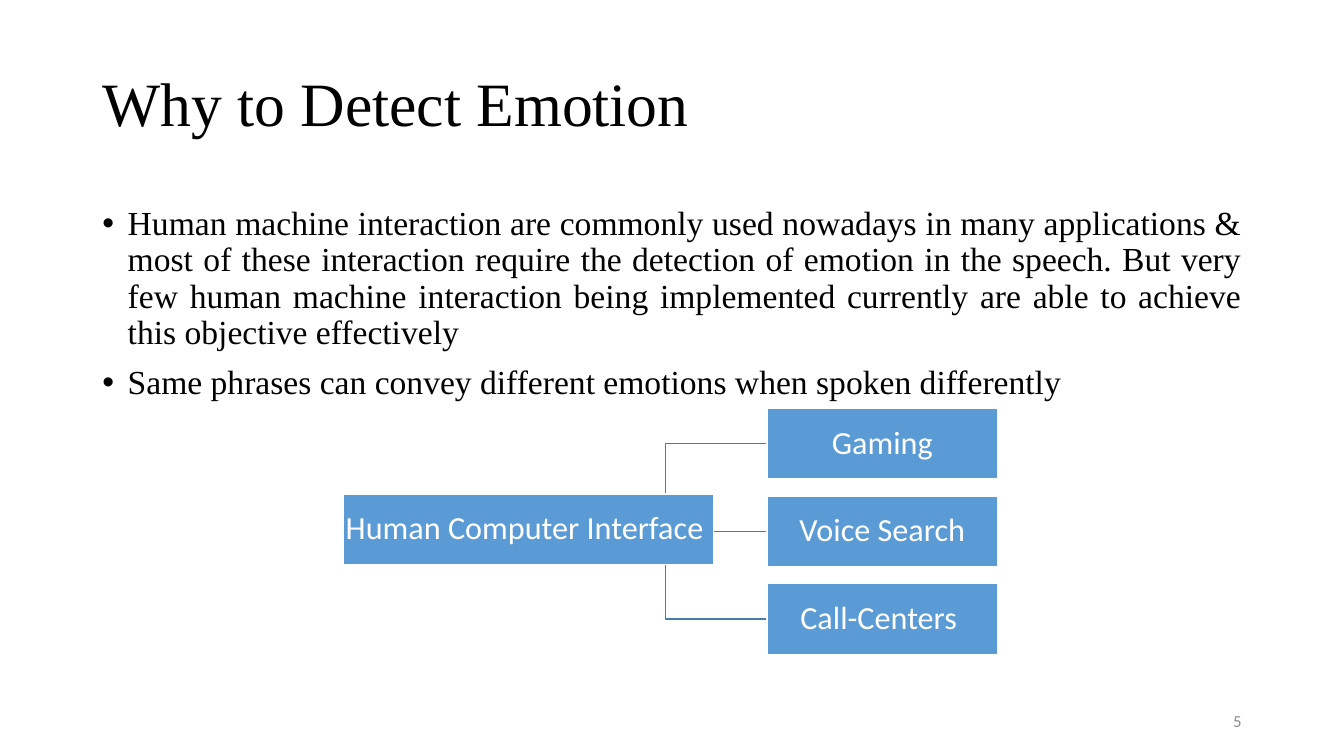
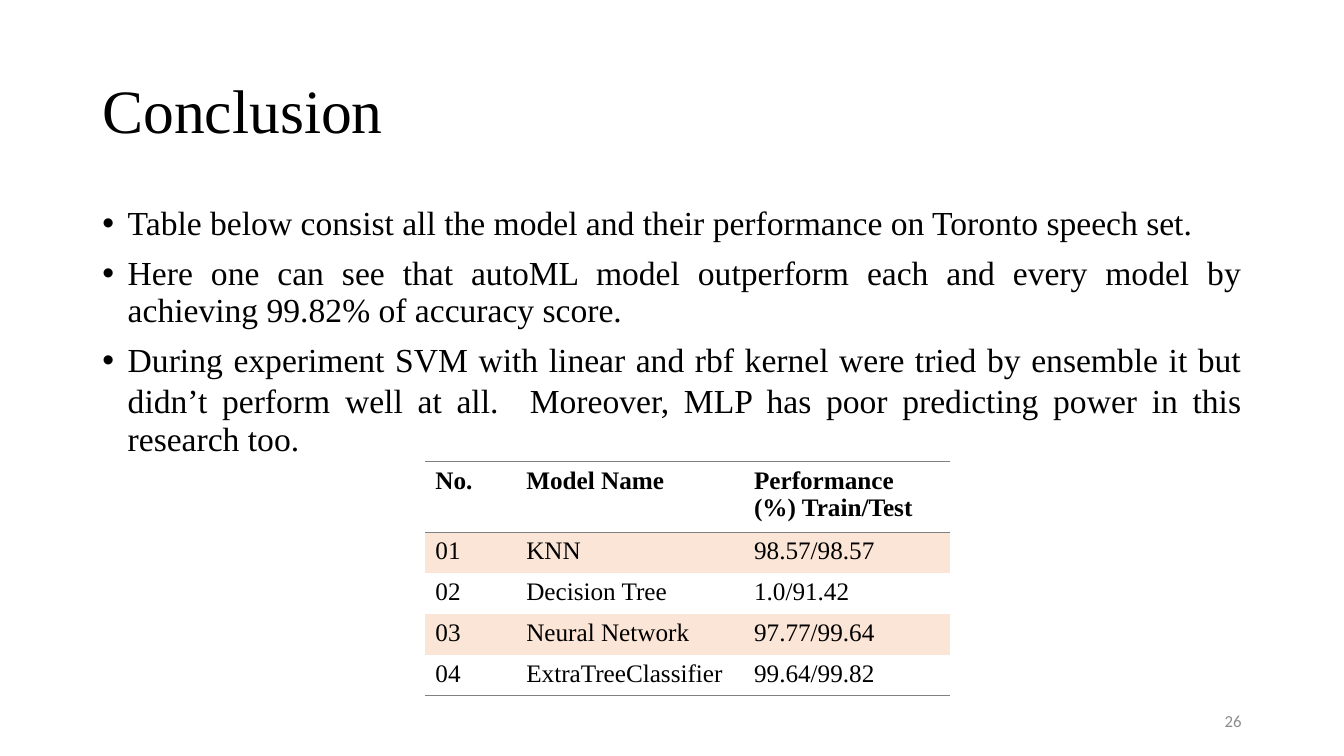
from lxml import etree
from pptx import Presentation
from pptx.dml.color import RGBColor
from pptx.enum.shapes import MSO_CONNECTOR, MSO_SHAPE
from pptx.enum.text import MSO_ANCHOR, PP_ALIGN
from pptx.oxml.ns import qn
from pptx.util import Cm, Pt

ELBOW = MSO_CONNECTOR.ELBOW
RECTANGLE = MSO_SHAPE.RECTANGLE
TOP, MIDDLE = MSO_ANCHOR.TOP, MSO_ANCHOR.MIDDLE
LEFT, CENTER, RIGHT = PP_ALIGN.LEFT, PP_ALIGN.CENTER, PP_ALIGN.RIGHT
JUSTIFY = PP_ALIGN.JUSTIFY

BLACK = RGBColor(0x00, 0x00, 0x00)
WHITE = RGBColor(0xFF, 0xFF, 0xFF)
GREY = RGBColor(0x8C, 0x8C, 0x8C)
BLUE = RGBColor(0x5B, 0x9B, 0xD5)
LINK_BLUE = RGBColor(0x49, 0x7C, 0xAB)
PEACH = RGBColor(0xFB, 0xE5, 0xD6)
RULE_GREY = RGBColor(0x80, 0x80, 0x80)

SERIF, SANS = "Times New Roman", "Calibri"
NO_TABLE_STYLE = "{2D5ABB26-0587-4C30-8999-92F81FD0307C}"
CONTENT_LEFT, CONTENT_WIDTH = 2.33, 29.21


def write(paragraph, text, font=SERIF, size=24, color=BLACK, bold=False,
          align=LEFT, spacing=None):
    """Add one formatted run to a paragraph."""
    paragraph.alignment = align
    if spacing:
        paragraph.line_spacing = spacing
    run = paragraph.add_run()
    run.text = text
    run.font.name = font
    run.font.size = Pt(size)
    run.font.bold = bold
    run.font.color.rgb = color


class Deck:
    """Holds the presentation, its style and the current slide."""

    def __init__(self):
        self.presentation = Presentation()
        self.presentation.slide_width = Cm(33.87)
        self.presentation.slide_height = Cm(19.05)
        self.slide = None

    def new_slide(self, title, number, title_height):
        blank = self.presentation.slide_layouts[6]
        self.slide = self.presentation.slides.add_slide(blank)
        frame = self.text_frame(CONTENT_LEFT, 1.02, CONTENT_WIDTH, title_height, MIDDLE)
        write(frame.paragraphs[0], title, size=44, spacing=0.9)
        frame = self.text_frame(23.92, 17.65, 7.62, 1.02, MIDDLE)
        write(frame.paragraphs[0], str(number), font=SANS, size=12, color=GREY, align=RIGHT)

    def text_frame(self, left, top, width, height, anchor=TOP):
        box = self.slide.shapes.add_textbox(Cm(left), Cm(top), Cm(width), Cm(height))
        box.text_frame.word_wrap = True
        box.text_frame.vertical_anchor = anchor
        return box.text_frame

    def bullets(self, items):
        """Each item is a list of (text, size) runs."""
        frame = self.text_frame(CONTENT_LEFT, 5.08, CONTENT_WIDTH, 12.09)
        for index, runs in enumerate(items):
            paragraph = frame.add_paragraph() if index else frame.paragraphs[0]
            paragraph.space_before = Pt(10)
            for text, size in runs:
                write(paragraph, text, size=size, align=JUSTIFY, spacing=0.9)
            properties = paragraph._p.get_or_add_pPr()
            properties.set("marL", str(Cm(0.64)))
            properties.set("indent", str(-Cm(0.64)))
            etree.SubElement(properties, qn("a:buFont"), typeface="Arial")
            etree.SubElement(properties, qn("a:buChar"), char="•")

    def box(self, text, left, top, width, height):
        shape = self.slide.shapes.add_shape(
            RECTANGLE, Cm(left), Cm(top), Cm(width), Cm(height))
        shape.shadow.inherit = False
        shape.fill.solid()
        shape.fill.fore_color.rgb = BLUE
        shape.line.color.rgb = WHITE
        shape.line.width = Pt(1)
        frame = shape.text_frame
        frame.word_wrap = True
        frame.vertical_anchor = MIDDLE
        frame.margin_left = frame.margin_right = Cm(0.04)
        frame.margin_top = frame.margin_bottom = Cm(0.04)
        write(frame.paragraphs[0], text, font=SANS, size=23, color=WHITE,
              align=CENTER, spacing=0.9)

    def elbow(self, start_x, start_y, end_x, end_y):
        connector = self.slide.shapes.add_connector(
            ELBOW, Cm(start_x), Cm(start_y), Cm(end_x), Cm(end_y))
        connector.line.color.rgb = LINK_BLUE
        connector.line.width = Pt(1)
        etree.SubElement(connector._element.spPr, qn("a:effectLst"))

    def tree(self, root, branches):
        root_left, root_top, root_width, height = 8.66, 12.45, 9.32, 1.78
        branch_left, branch_width = 19.33, 5.82
        tops = [10.29 + 2.21 * index for index in range(len(branches))]
        # Links lie behind the boxes
        for top in tops:
            self.elbow(root_left + root_width / 2 + 0.9, root_top + height / 2,
                       branch_left, top + height / 2)
        self.box(root, root_left, root_top, root_width, height)
        for text, top in zip(branches, tops):
            self.box(text, branch_left, top, branch_width, height)

    def table(self, rows, left, top, widths, header_height, row_height):
        heights = [header_height] + [row_height] * (len(rows) - 1)
        frame = self.slide.shapes.add_table(
            len(rows), len(widths), Cm(left), Cm(top), Cm(sum(widths)), Cm(sum(heights)))
        table = frame.table
        table._tbl.tblPr.find(qn("a:tableStyleId")).text = NO_TABLE_STYLE
        for column, width in zip(table.columns, widths):
            column.width = Cm(width)
        for row_index, texts in enumerate(rows):
            table.rows[row_index].height = Cm(heights[row_index])
            for column_index, text in enumerate(texts):
                cell = table.cell(row_index, column_index)
                write(cell.text_frame.paragraphs[0], text, size=18, bold=row_index == 0)
                if row_index % 2:
                    cell.fill.solid()
                    cell.fill.fore_color.rgb = PEACH
                else:
                    cell.fill.background()
                # Rules above and below the header and under the last row
                if row_index in (0, len(rows) - 1):
                    self.rule(cell, "a:lnB")
                if row_index == 0:
                    self.rule(cell, "a:lnT")

    def rule(self, cell, side):
        line = etree.Element(qn(side), w=str(Pt(0.75)))
        fill = etree.SubElement(line, qn("a:solidFill"))
        etree.SubElement(fill, qn("a:srgbClr"), val=str(RULE_GREY))
        cell._tc.get_or_add_tcPr().insert(0, line)


def main():
    deck = Deck()

    # Reasons and fields of use
    deck.new_slide("Why to Detect Emotion", 5, title_height=3.33)
    deck.bullets([
        [("Human machine interaction are commonly used nowadays in many applications & "
          "most of these interaction require the detection of emotion in the speech. "
          "But very few human machine interaction being implemented currently are able "
          "to achieve this objective effectively", 24)],
        [("Same phrases can convey different emotions when spoken differently", 24)],
    ])
    deck.tree("Human Computer Interface ", ["Gaming", "Voice Search", "Call-Centers "])

    # Results of the models
    deck.new_slide("Conclusion", 26, title_height=3.68)
    deck.bullets([
        [("Table below consist all the model and their performance on Toronto "
          "speech set.", 24)],
        [("Here one can see that autoML model outperform each and every model by "
          "achieving 99.82% of accuracy score.", 24)],
        [("During experiment SVM with linear and rbf kernel were tried by ensemble it "
          "but didn’t perform well at all. ", 24),
         (" ", 28),
         ("Moreover, MLP has poor predicting power in this research too.", 24)],
    ])
    deck.table(
        [
            ("No.", "Model Name", "Performance (%) Train/Test"),
            ("01", "KNN", "98.57/98.57"),
            ("02", "Decision Tree", "1.0/91.42"),
            ("03", "Neural Network", "97.77/99.64"),
            ("04", "ExtraTreeClassifier", "99.64/99.82"),
        ],
        left=10.72, top=11.63, widths=(2.29, 5.74, 5.18),
        header_height=1.65, row_height=1.03)

    deck.presentation.save("out.pptx")


if __name__ == "__main__":
    main()
